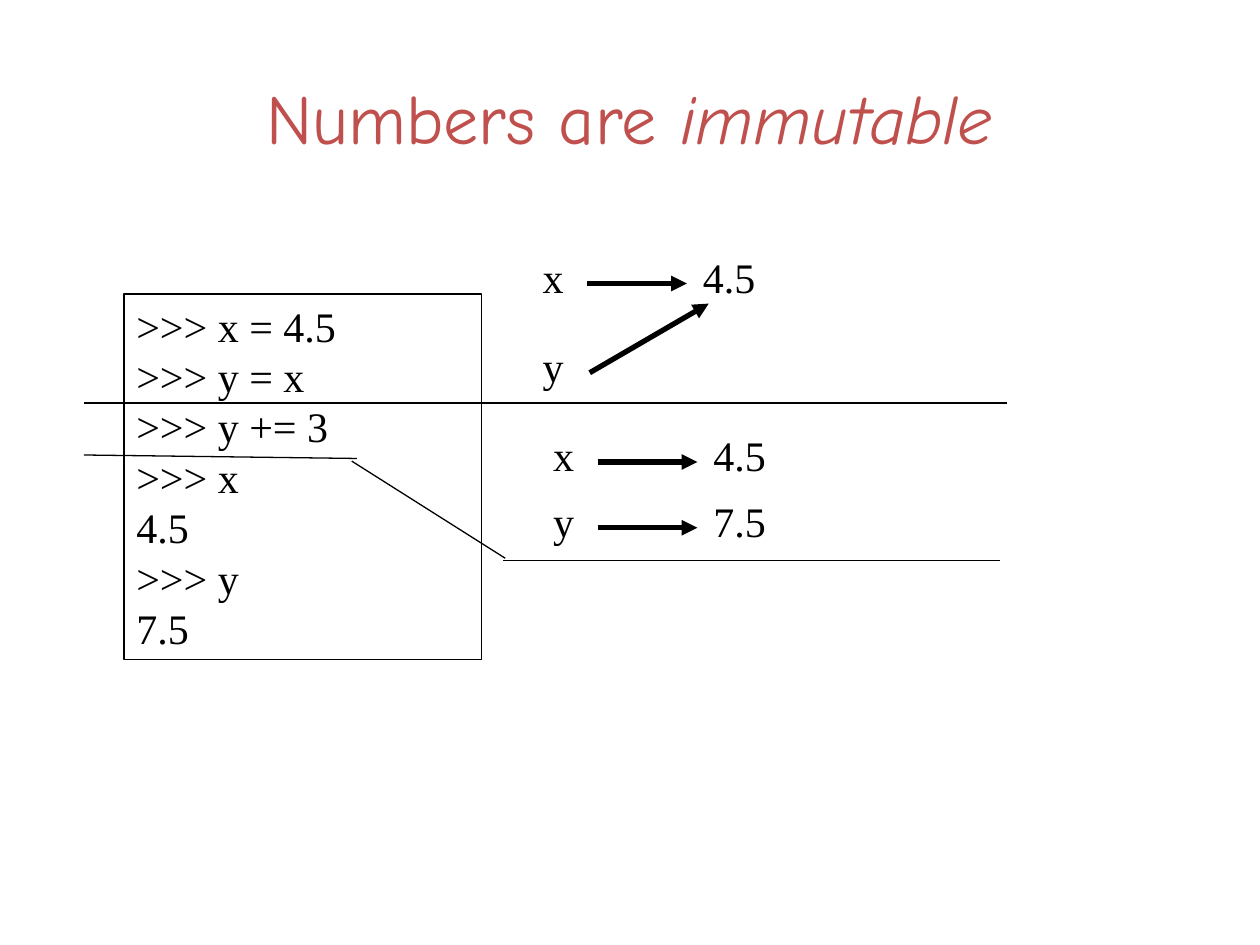
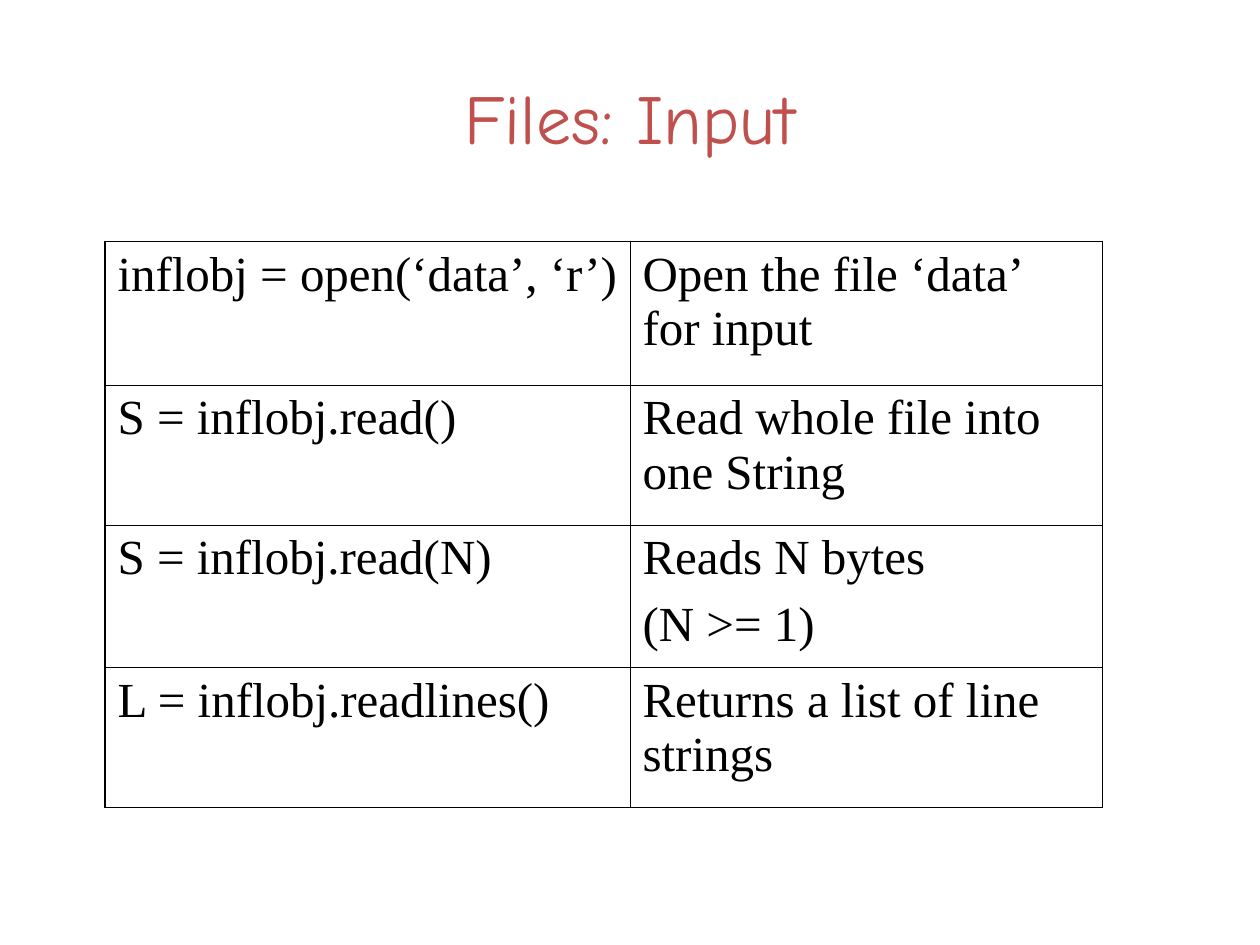
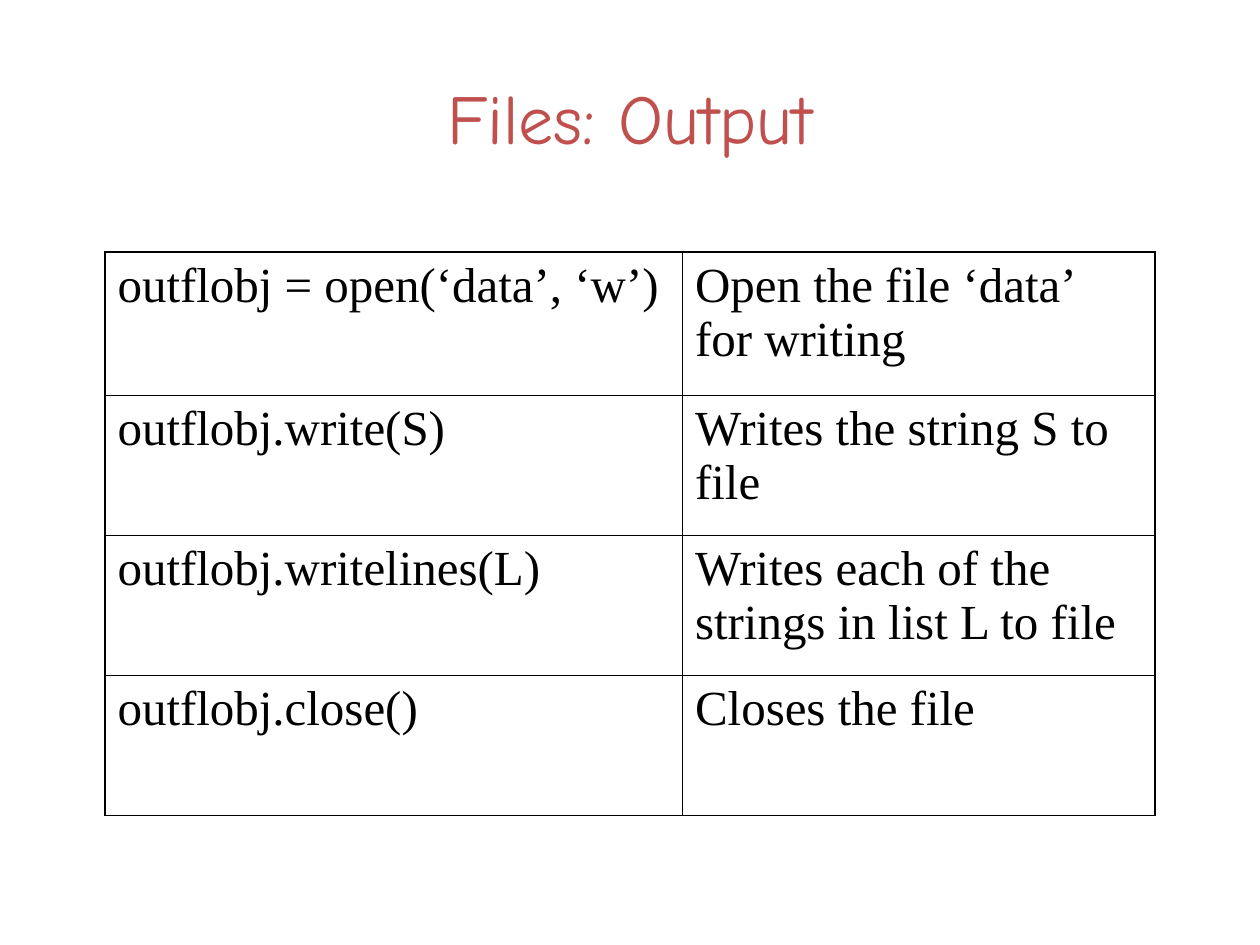
import pptx
import pptx.util
import pptx.dml.color
import pptx.enum.shapes
import pptx.enum.text
import pptx.oxml
import lxml.etree

Pt = pptx.util.Pt
ALIGN = pptx.enum.text.PP_ALIGN
ANCHOR = pptx.enum.text.MSO_ANCHOR

COLORS = {"title": "C0504D", "ink": "000000"}
TITLE_FONT = "Comic Neue"
BODY_FONT = "Times New Roman"
CODE_LEADING = 28.8
THIN, THICK = 0.45, 1.08  # table border widths
ROW_HEIGHTS = (82, 80, 80, 80)

CODE_LINES = (">>> x = 4.5", ">>> y = x", ">>> y += 3", ">>> x",
              "4.5", ">>> y", "7.5")
INPUT_CALLS = (
    ("inflobj = open(‘data’, ‘r’)", "Open the file ‘data’ for input"),
    ("S = inflobj.read()", "Read whole file into one String"),
    ("S = inflobj.read(N)", "Reads N bytes\n(N >= 1)"),
    ("L = inflobj.readlines()", "Returns a list of line strings"),
)
OUTPUT_CALLS = (
    ("outflobj = open(‘data’, ‘w’)", "Open the file ‘data’ for writing"),
    ("outflobj.write(S)", "Writes the string S to file"),
    ("outflobj.writelines(L)", "Writes each of the strings in list L to file"),
    ("outflobj.close()", "Closes the file"),
)


def rgb(name):
    return pptx.dml.color.RGBColor.from_string(COLORS[name])


def write(frame, text, *, size=24, font=BODY_FONT, color="ink", align=ALIGN.LEFT,
          leading=None, gap=0, italic_tail=""):
    """Put one paragraph per line of text into a text frame."""
    frame.word_wrap = True
    for index, line in enumerate(text.split("\n")):
        para = frame.paragraphs[0] if index == 0 else frame.add_paragraph()
        para.alignment = align
        if leading:
            para.line_spacing = Pt(leading)
        if index and gap:
            para.space_before = Pt(gap)
        for words, italic in ((line, False), (italic_tail, True)):
            if words:
                span = para.add_run()
                span.text = words
                span.font.name = font
                span.font.size = Pt(size)
                span.font.italic = italic
                span.font.color.rgb = rgb(color)


def add_page(deck, title, italic_tail=""):
    page = deck.slides.add_slide(deck.slide_layouts[6])
    box = page.shapes.add_textbox(Pt(36), Pt(21.6), Pt(648), Pt(90))
    box.text_frame.vertical_anchor = ANCHOR.MIDDLE
    write(box.text_frame, title, size=40, font=TITLE_FONT, color="title",
          align=ALIGN.CENTER, italic_tail=italic_tail)
    return page


def add_code_box(page, left, top, width, height, lines):
    box = page.shapes.add_shape(pptx.enum.shapes.MSO_SHAPE.RECTANGLE,
                                Pt(left), Pt(top), Pt(width), Pt(height))
    box.shadow.inherit = False
    box.fill.background()
    box.line.color.rgb = rgb("ink")
    box.line.width = Pt(0.75)
    box.text_frame.vertical_anchor = ANCHOR.TOP
    write(box.text_frame, "\n".join(lines), leading=CODE_LEADING)


def add_label(page, left, top, width, text):
    box = page.shapes.add_textbox(Pt(left), Pt(top), Pt(width), Pt(36))
    write(box.text_frame, text, leading=CODE_LEADING)


def add_line(page, start, end, width=0.75, arrow=False):
    line = page.shapes.add_connector(pptx.enum.shapes.MSO_CONNECTOR.STRAIGHT,
                                     *(Pt(value) for value in (*start, *end)))
    line.line.color.rgb = rgb("ink")
    line.line.width = Pt(width)
    if arrow:
        tail = lxml.etree.SubElement(line.line._get_or_add_ln(),
                                     pptx.oxml.ns.qn("a:tailEnd"))
        tail.set("type", "triangle")
    lxml.etree.SubElement(line._element.spPr, pptx.oxml.ns.qn("a:effectLst"))


def add_binding(page, left, top, name, value):
    """A variable name with an arrow to its value."""
    add_label(page, left, top, 34, name)
    add_label(page, left + 91.5, top, 51, value)
    add_line(page, (left + 32.5, top + 22), (left + 89.5, top + 22), 3, arrow=True)


def set_border(cell, side, width):
    properties = cell._tc.get_or_add_tcPr()
    border = lxml.etree.SubElement(properties, pptx.oxml.ns.qn("a:ln" + side),
                                   w=str(Pt(width)))
    fill = lxml.etree.SubElement(border, pptx.oxml.ns.qn("a:solidFill"))
    lxml.etree.SubElement(fill, pptx.oxml.ns.qn("a:srgbClr"), val=COLORS["ink"])


def add_call_table(page, top, column_widths, calls):
    table = page.shapes.add_table(len(calls), len(column_widths), Pt(60), Pt(top),
                                  Pt(sum(column_widths)), Pt(sum(ROW_HEIGHTS))).table
    table.first_row = table.horz_banding = False
    for column, width in zip(table.columns, column_widths):
        column.width = Pt(width)
    last_row, last_column = len(calls) - 1, len(column_widths) - 1
    for row, texts in enumerate(calls):
        table.rows[row].height = Pt(ROW_HEIGHTS[row])
        for column, text in enumerate(texts):
            cell = table.cell(row, column)
            outer = {"L": column == 0, "R": column == last_column,
                     "T": row == 0, "B": row == last_row}
            for side, is_outer in outer.items():
                set_border(cell, side, THICK if is_outer else THIN)
            cell.fill.background()
            write(cell.text_frame, text, size=28, gap=7)


def add_numbers_page(deck):
    page = add_page(deck, "Numbers are ", italic_tail="immutable")
    add_code_box(page, 70.8, 168, 204.5, 208.8, CODE_LINES)

    # Both names share one value
    add_binding(page, 303, 140, "x", "4.5")
    add_label(page, 303, 191, 34, "y")
    add_line(page, (337, 213), (405, 173.5), 3, arrow=True)

    # After the addition, each name has its own value
    add_binding(page, 309, 242, "x", "4.5")
    add_binding(page, 309, 279.6, "y", "7.5")

    # Dividers between the two states
    add_line(page, (48, 230.3), (575.5, 230.3))
    add_line(page, (48, 260), (204, 262))
    add_line(page, (201, 263.5), (288.7, 319))
    add_line(page, (287.5, 320.5), (571.7, 320.5))


def main():
    deck = pptx.Presentation()
    deck.slide_width, deck.slide_height = Pt(720), Pt(540)
    add_numbers_page(deck)
    add_call_table(add_page(deck, "Files: Input"), 138, (300, 270), INPUT_CALLS)
    add_call_table(add_page(deck, "Files: Output"), 144, (330, 270), OUTPUT_CALLS)
    deck.save("out.pptx")


if __name__ == "__main__":
    main()
